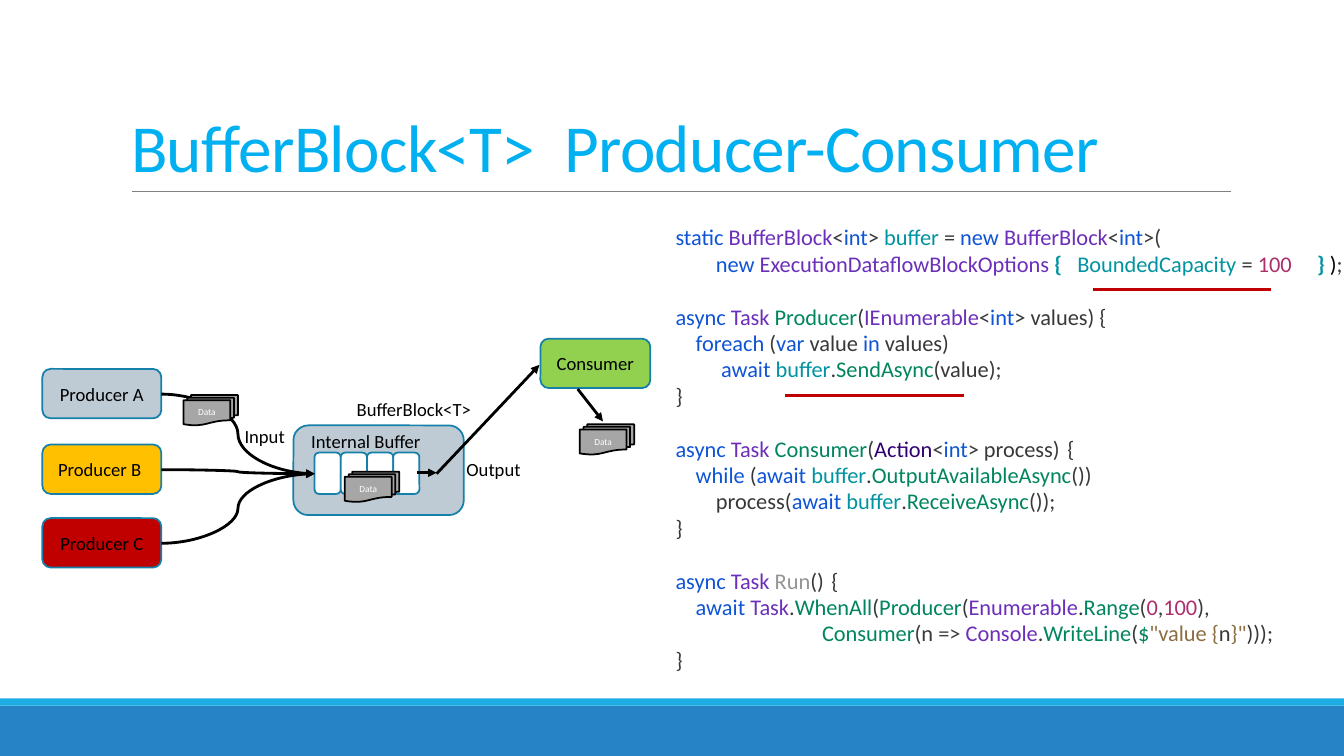
import itertools

import pptx
import pptx.dml.color
import pptx.enum.shapes
import pptx.enum.text
import pptx.oxml
import pptx.oxml.ns
import pptx.util

Inches = pptx.util.Inches
Pt = pptx.util.Pt
SHAPE = pptx.enum.shapes.MSO_SHAPE
CONNECTOR = pptx.enum.shapes.MSO_CONNECTOR
ALIGN = pptx.enum.text.PP_ALIGN
ANCHOR = pptx.enum.text.MSO_ANCHOR

COLORS = {
    "bar": "2683C6", "strip": "1CADE4", "rule": "808080", "title": "00B0F0",
    "black": "000000", "white": "FFFFFF", "outline": "1580A9",
    "steel": "BECAD4", "amber": "FFC000", "red": "C00000", "green": "92D050",
    "data": "A6A6A6", "plain": "383838", "keyword": "0F54D6",
    "type": "6B2FBA", "method": "00855F", "variable": "0093A1",
    "number": "AB2F6B", "delegate": "300073", "muted": "949494",
    "arrow": "404040", "string": "8C6C41",
}
WORDS_BY_COLOR = {
    "keyword": "static int new async foreach var in await while",
    "type": "BufferBlock ExecutionDataflowBlockOptions Task IEnumerable Enumerable Console",
    "method": "Producer Consumer SendAsync OutputAvailableAsync ReceiveAsync WhenAll Range WriteLine",
    "variable": "buffer BoundedCapacity",
    "number": "0 100",
    "delegate": "Action",
    "muted": "Run",
}
WORD_COLORS = {word: color for color, words in WORDS_BY_COLOR.items() for word in words.split()}
SPECIAL_PIECES = {
    "{ ": {"color": "variable", "bold": True, "spacing": 3.6},
    " ": {"color": "number", "spacing": 14.5},
    "} ": {"color": "variable", "bold": True},
    ")": {"color": "black"},
    " {": {"color": "plain", "spacing": 1.8},
    "=> ": {"color": "arrow"},
    "$": {"color": "method"},
    '"value {': {"color": "string"},
    '}"': {"color": "string"},
}
CODE_BLOCKS = [
    [
        ["static BufferBlock<int> buffer = new BufferBlock<int>("],
        ["        new ExecutionDataflowBlockOptions ", "{ ", "BoundedCapacity = 100", " ", "} ", ")", ";"],
    ],
    [
        ["async Task Producer(IEnumerable<int> values) {"],
        ["    foreach (var value in values)"],
        ["         await buffer.SendAsync(value);"],
        ["}"],
    ],
    [
        ["async Task Consumer(Action<int> process)", " {"],
        ["    while (await buffer.OutputAvailableAsync())"],
        ["        process(await buffer.ReceiveAsync());"],
        ["}"],
    ],
    [
        ["async Task Run()", " {"],
        ["    await Task.WhenAll(Producer(Enumerable.Range(0,100),"],
        ["                             Consumer(n ", "=> ", "Console.WriteLine(", "$", '"value {', "n", '}"', ")));"],
        ["}"],
    ],
]
LINE_PITCH = 19.15


def rgb(name):
    """Return the named colour."""
    return pptx.dml.color.RGBColor.from_string(COLORS[name])


def write(paragraph, text, size=13.3, color="black", bold=False, spacing=0, align=ALIGN.LEFT):
    """Append formatted text to a paragraph."""
    paragraph.alignment = align
    run = paragraph.add_run()
    run.text = text
    run.font.name = "Calibri"
    run.font.size = Pt(size)
    run.font.bold = bold
    run.font.color.rgb = rgb(color)
    if spacing:
        run._r.get_or_add_rPr().set("spc", str(round(spacing * 100)))


def add_box(slide, kind, left, top, width, height, fill, outline=None, label=None, **text_format):
    """Draw a filled preset shape with an optional centred label."""
    box = slide.shapes.add_shape(kind, Inches(left), Inches(top), Inches(width), Inches(height))
    box.shadow.inherit = False
    box.fill.solid()
    box.fill.fore_color.rgb = rgb(fill)
    if outline:
        box.line.color.rgb = rgb(outline)
        box.line.width = Pt(1.25)
    else:
        box.line.fill.background()
    if label:
        box.text_frame.vertical_anchor = ANCHOR.MIDDLE
        write(box.text_frame.paragraphs[0], label, align=ALIGN.CENTER, **text_format)


def add_label(slide, left, top, width, label):
    """Place a one-line centred label."""
    frame = slide.shapes.add_textbox(Inches(left), Inches(top), Inches(width), Inches(0.33)).text_frame
    frame.word_wrap = False
    write(frame.paragraphs[0], label, align=ALIGN.CENTER)


def add_line(slide, start, end, color="black", width=2, kind=CONNECTOR.STRAIGHT, arrow=False):
    """Draw a connector between two points."""
    line = slide.shapes.add_connector(kind, *(Inches(value) for value in (*start, *end)))
    line.line.color.rgb = rgb(color)
    line.line.width = Pt(width)
    if arrow:
        head = pptx.oxml.parse_xml(f'<a:tailEnd {pptx.oxml.ns.nsdecls("a")} type="triangle"/>')
        line.line._get_or_add_ln().append(head)
    line._element.spPr.append(pptx.oxml.parse_xml(f'<a:effectLst {pptx.oxml.ns.nsdecls("a")}/>'))


def move(placeholder, left, top, width, height):
    """Set the frame of a placeholder."""
    placeholder.left, placeholder.top = Inches(left), Inches(top)
    placeholder.width, placeholder.height = Inches(width), Inches(height)
    placeholder.text_frame.word_wrap = True
    placeholder.text_frame.auto_size = pptx.enum.text.MSO_AUTO_SIZE.NONE


def build_footer(slide, left, top, width):
    """Draw the two bars along the bottom edge."""
    add_box(slide, SHAPE.RECTANGLE, left, top + 0.07, width, 0.5, "bar")
    add_box(slide, SHAPE.RECTANGLE, left, top, width, 0.07, "strip")


def build_title(slide, left, top, width, height):
    """Write the title above its rule."""
    move(slide.shapes.title, left, top, width, height)
    frame = slide.shapes.title.text_frame
    frame.vertical_anchor = ANCHOR.BOTTOM
    heading = frame.paragraphs[0]
    heading.line_spacing = 0.85
    for text, spacing in (("BufferBlock<T>", -0.5), (" ", 9.9), ("Producer-Consumer", -0.5)):
        write(heading, text, size=48, color="title", spacing=spacing)
    rule_top = top + height
    add_line(slide, (left + 0.11, rule_top), (left + width + 0.01, rule_top), color="rule", width=0.5)


def write_code_line(paragraph, pieces):
    """Write one code line with a colour for each token."""
    for piece in pieces:
        if piece in SPECIAL_PIECES:
            write(paragraph, piece, size=16, **SPECIAL_PIECES[piece])
            continue
        for _, letters in itertools.groupby(piece, str.isalnum):
            token = "".join(letters)
            write(paragraph, token, size=16, color=WORD_COLORS.get(token, "plain"))


def build_code(slide, left, top, width, height):
    """Write the code listing and underline its key parts."""
    listing = slide.placeholders[1]
    move(listing, left, top, width, height)
    frame = listing.text_frame
    frame.margin_left = frame.margin_right = 0
    frame.vertical_anchor = ANCHOR.TOP
    for block_index, block in enumerate(CODE_BLOCKS):
        for line_index, pieces in enumerate(block):
            first = block_index == line_index == 0
            paragraph = frame.paragraphs[0] if first else frame.add_paragraph()
            properties = paragraph._p.get_or_add_pPr()
            properties.set("marL", "0")
            properties.set("indent", "0")
            properties.append(pptx.oxml.parse_xml(f'<a:buNone {pptx.oxml.ns.nsdecls("a")}/>'))
            paragraph.line_spacing = 0.98
            paragraph.space_before = Pt(LINE_PITCH if block_index and not line_index else 0)
            write_code_line(paragraph, pieces)
    for x, y in ((1.09, 1.74), (4.14, 0.69)):
        add_line(slide, (left + x, top + y), (left + x + 1.77, top + y), color="red")


def build_diagram(slide, left, top):
    """Draw the producers, the buffer and the consumer."""
    add_box(slide, SHAPE.ROUNDED_RECTANGLE, left + 2.49, top + 0.86, 1.69, 0.89, "steel", "outline")
    for cell in range(4):
        add_box(slide, SHAPE.ROUNDED_RECTANGLE, left + 2.7 + cell * 0.26, top + 1.13, 0.26, 0.41, "white", "outline")
    for label, x, y, width in (("Internal Buffer", 2.56, 0.86, 1.3), ("Input", 1.9, 0.81, 0.61),
                               ("Output", 4.1, 1.13, 0.75), ("BufferBlock<T>", 3.01, 0.54, 1.35)):
        add_label(slide, left + x, top + y, width, label)
    for producer, y, fill in (("Producer A", 0.3, "steel"), ("Producer B ", 1.05, "amber"), ("Producer C", 1.78, "red")):
        add_box(slide, SHAPE.ROUNDED_RECTANGLE, left, top + y, 1.18, 0.49, fill, "outline", producer)
        add_line(slide, (left + 1.18, top + y + 0.25), (left + 2.7, top + 1.34), kind=CONNECTOR.CURVE, arrow=True)
    add_box(slide, SHAPE.ROUNDED_RECTANGLE, left + 4.94, top, 1.09, 0.49, "green", "outline", "Consumer")
    for x1, y1, x2, y2 in ((3.72, 1.33, 3.91, 1.33), (3.91, 1.34, 4.93, 0.26), (5.31, 0.5, 5.56, 0.82)):
        add_line(slide, (left + x1, top + y1), (left + x2, top + y2), arrow=True)
    for x, y in ((3, 1.32), (1.4, 0.56), (5.33, 0.85)):
        add_box(slide, SHAPE.FLOWCHART_MULTIDOCUMENT, left + x, top + y, 0.54, 0.3, "data", "black", "Data",
                size=6.7, color="white")


def main():
    """Build and save the slide."""
    deck = pptx.Presentation()
    deck.slide_width, deck.slide_height = Inches(13.33), Inches(7.5)
    slide = deck.slides.add_slide(deck.slide_layouts[1])
    build_footer(slide, 0, 6.93, 13.33)
    build_title(slide, 1.2, 0.31, 11, 1.59)
    build_code(slide, 6.7, 2.18, 6.63, 4.7)
    build_diagram(slide, 0.42, 3.36)
    deck.save("out.pptx")


if __name__ == "__main__":
    main()
